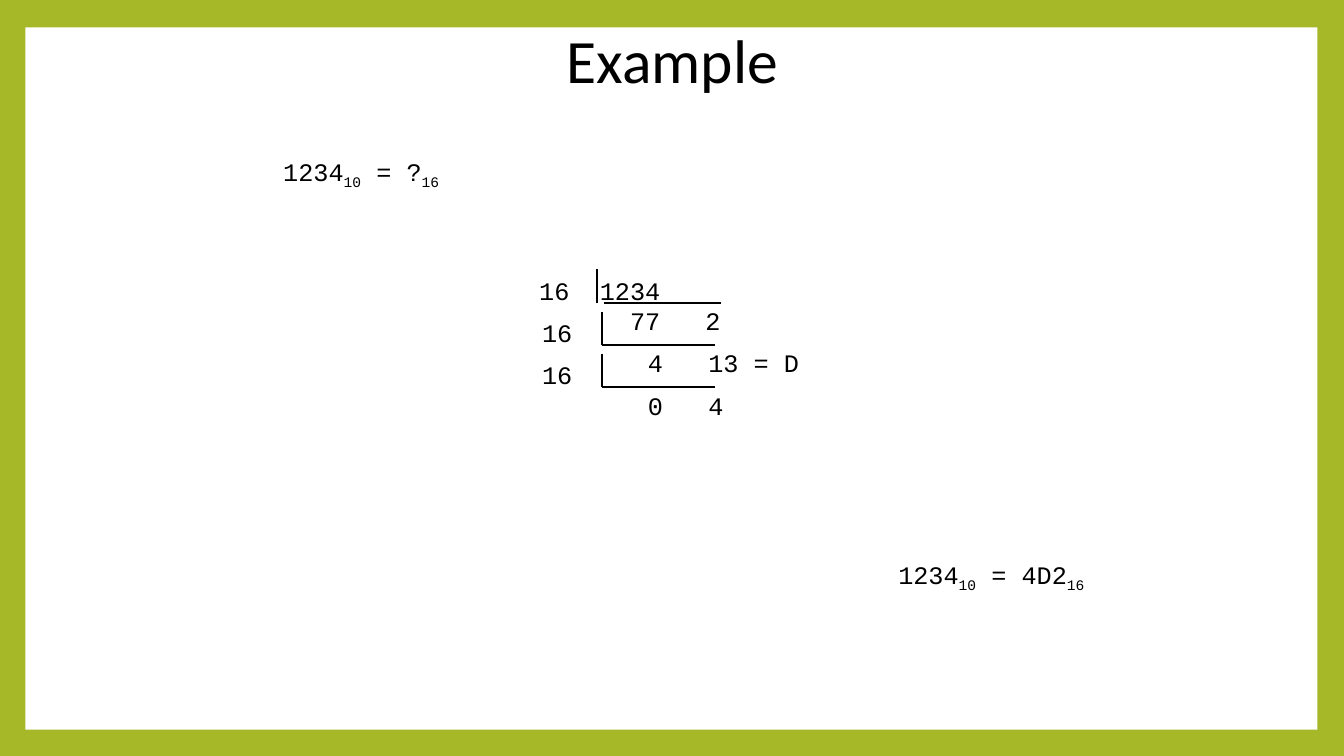
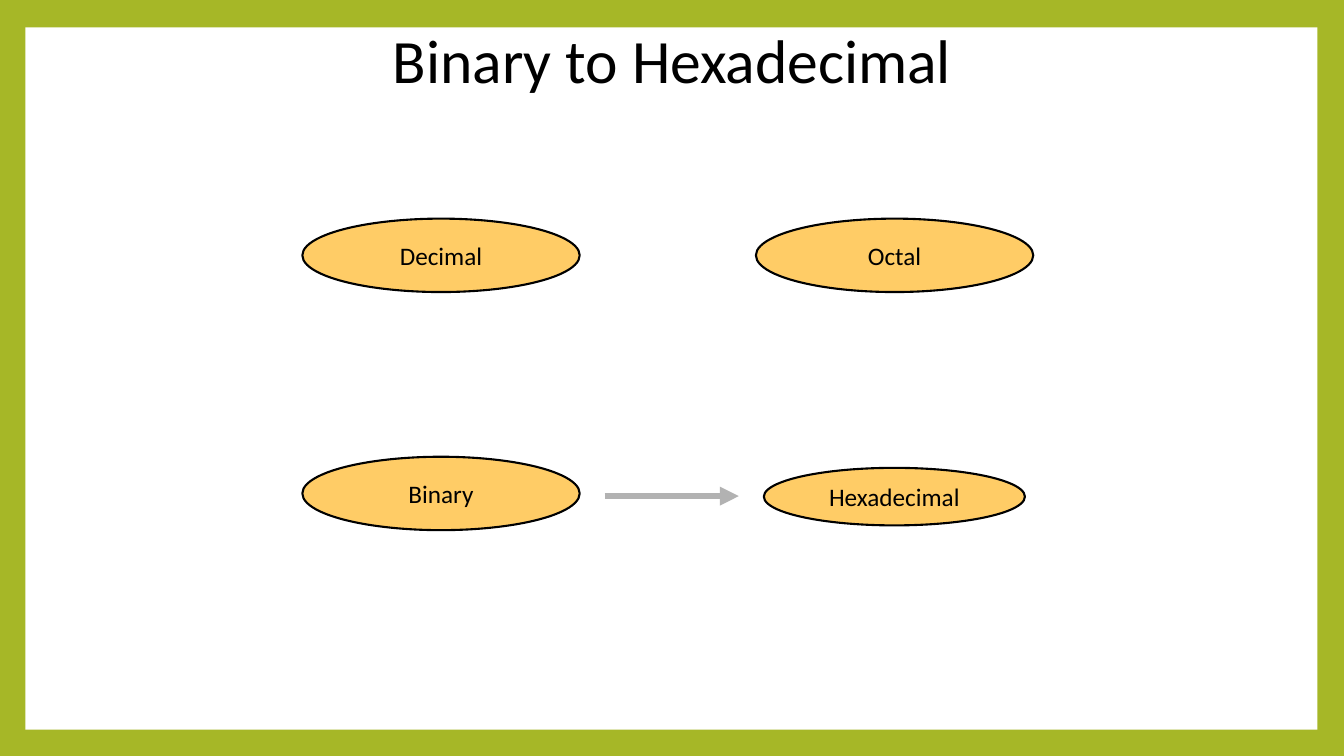
"""Build two slides on converting numbers to hexadecimal."""
from pptx import Presentation, util as u
from pptx.dml.color import RGBColor
from pptx.enum import shapes, text
from pptx.oxml.ns import qn
from lxml import etree

COLOURS = {"frame": "A6B727", "panel": "FFFFFF", "ink": "000000",
           "node": "FFCC66", "arrow": "B2B2B2"}
TITLES = ["Example", "Binary to Hexadecimal"]
TITLE_BOX = (6.15, 0.43, 21.59, 2.11)
PANEL_BOX = (0.64, 0.69, 32.56, 17.7)
EQUATIONS = [
    ((5.08, 3.81, 8.05, 1.02), [("1234", "10"), (" = ?", "16")]),
    ((20.96, 13.97, 8.05, 1.02), [("1234", "10"), (" = 4D2", "16")]),
]
DIVISIONS = [
    {"lines": ["16\t1234", "\t77\t2"], "left": 13.34, "top": 6.81,
     "bar": 15.04, "rule": (15.21, 18.16)},
    {"lines": ["16", "\t4\t13 = D"], "left": 13.41, "top": 7.87,
     "bar": 15.16, "rule": (15.16, 18.03)},
    {"lines": ["16", "\t0\t4"], "left": 13.41, "top": 8.94,
     "bar": 15.16, "rule": (15.16, 18.03)},
]
DIVISION_TABS = [(3.05, "r"), (4.19, "l")]
BAR_HEIGHT = 0.84
NODES = [
    ("Decimal", (7.62, 5.51, 6.99, 1.85)),
    ("Octal", (19.05, 5.51, 6.99, 1.85)),
    ("Binary", (7.62, 11.51, 6.99, 1.85)),
    ("Hexadecimal", (19.25, 11.79, 6.58, 1.45)),
]
ARROW = (15.24, 12.5, 18.62, 12.5)
TITLE_FONT = {"name": "Calibri", "size": u.Pt(44), "bold": False}
NODE_FONT = {"name": "Calibri", "size": u.Pt(18)}
CODE_FONT = {"name": "Courier New", "size": u.Pt(18)}


def colour(name):
    return RGBColor.from_string(COLOURS[name])


def lengths(values):
    return [u.Cm(value) for value in values]


def set_all(target, values):
    for name, value in values.items():
        setattr(target, name, value)


def style(font, values):
    set_all(font, values)
    font.color.rgb = colour("ink")


def add_shape(page, kind, place, fill):
    shape = page.shapes.add_shape(kind, *lengths(place))
    shape.shadow.inherit = False
    shape.fill.solid()
    shape.fill.fore_color.rgb = colour(fill)
    shape.line.fill.background()
    return shape


def add_line(page, ends, line_colour="ink", width=1.5, arrow=False):
    line = page.shapes.add_connector(shapes.MSO_CONNECTOR.STRAIGHT, *lengths(ends))
    line.line.color.rgb = colour(line_colour)
    line.line.width = u.Pt(width)
    if arrow:
        etree.SubElement(line.line._get_or_add_ln(), qn("a:tailEnd"), type="triangle")
    etree.SubElement(line._element.spPr, qn("a:effectLst"))


def add_text_box(page, place):
    frame = page.shapes.add_textbox(*lengths(place)).text_frame
    frame.word_wrap = True
    return frame


def add_equation(page, place, terms):
    para = add_text_box(page, place).paragraphs[0]
    para.alignment = text.PP_ALIGN.CENTER
    for number, base in terms:
        for words, offset in ((number, None), (base, "-25000")):
            span = para.add_run()
            span.text = words
            style(span.font, CODE_FONT)
            if offset:
                span.font._element.set("baseline", offset)


def add_division(page, lines, left, top, bar, rule):
    frame = add_text_box(page, (left, top, 9.86, 1.8))
    frame.text = "\n".join(lines)
    for para in frame.paragraphs:
        tabs = etree.SubElement(para._p.get_or_add_pPr(), qn("a:tabLst"))
        for position, side in DIVISION_TABS:
            etree.SubElement(tabs, qn("a:tab"), pos=str(u.Cm(position)), algn=side)
        for span in para.runs:
            style(span.font, CODE_FONT)
    bar_top = top - 0.02
    bottom = bar_top + BAR_HEIGHT
    add_line(page, (bar, bar_top, bar, bottom))
    add_line(page, (rule[0], bottom, rule[1], bottom))


def add_node(page, name, place):
    node = add_shape(page, shapes.MSO_SHAPE.OVAL, place, "node")
    node.line.color.rgb = colour("ink")
    node.line.width = u.Pt(1.5)
    set_all(node.text_frame, {"text": name, "word_wrap": False,
                              "vertical_anchor": text.MSO_ANCHOR.MIDDLE})
    para = node.text_frame.paragraphs[0]
    para.alignment = text.PP_ALIGN.CENTER
    style(para.runs[0].font, NODE_FONT)


def add_page(deck, title):
    page = deck.slides.add_slide(deck.slide_layouts[5])
    box = page.shapes.title
    set_all(box, dict(zip(("left", "top", "width", "height"), lengths(TITLE_BOX))))
    set_all(box.text_frame, {"text": title, "vertical_anchor": text.MSO_ANCHOR.MIDDLE})
    para = box.text_frame.paragraphs[0]
    para.alignment = text.PP_ALIGN.CENTER
    style(para.runs[0].font, TITLE_FONT)
    return page


def main():
    deck = Presentation()
    set_all(deck, {"slide_width": u.Cm(33.87), "slide_height": u.Cm(19.05)})
    background = deck.slide_master.background.fill
    background.solid()
    background.fore_color.rgb = colour("frame")
    example, conversion = [add_page(deck, title) for title in TITLES]

    panel = add_shape(example, shapes.MSO_SHAPE.RECTANGLE, PANEL_BOX, "panel")
    example.slide_layout.shapes._spTree.insert(2, panel._element)

    for place, terms in EQUATIONS:
        add_equation(example, place, terms)
    for division in DIVISIONS:
        add_division(example, **division)

    for name, place in NODES:
        add_node(conversion, name, place)
    add_line(conversion, ARROW, "arrow", 4.5, arrow=True)
    deck.save("out.pptx")


if __name__ == "__main__":
    main()
